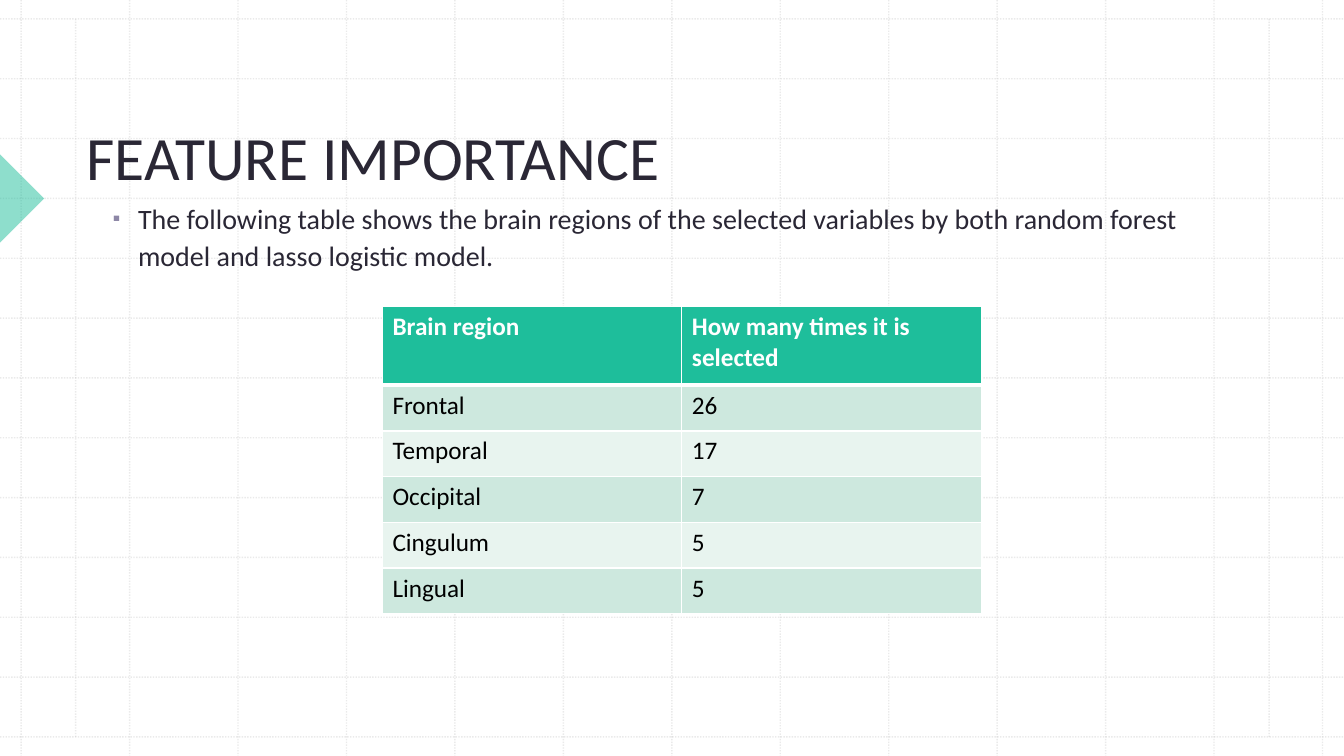
from lxml.etree import SubElement
from pptx import Presentation
from pptx.dml.color import RGBColor
from pptx.enum.dml import MSO_LINE_DASH_STYLE as Dash
from pptx.enum.shapes import MSO_CONNECTOR as Connector, MSO_SHAPE as Shape
from pptx.enum.text import MSO_ANCHOR as Anchor, MSO_AUTO_SIZE as AutoSize, PP_ALIGN as Align
from pptx.oxml.ns import qn
from pptx.util import Pt

WHITE = RGBColor(0xFF, 0xFF, 0xFF)
BLACK = RGBColor(0, 0, 0)
INK = RGBColor(0x2A, 0x27, 0x35)
GREEN = RGBColor(0x1E, 0xBE, 0x9B)
BAND_DARK = RGBColor(0xCD, 0xE8, 0xDE)
BAND_LIGHT = RGBColor(0xE8, 0xF4, 0xEF)
GRID = RGBColor(0xBC, 0xBC, 0xBC)
BULLET = RGBColor(0x8D, 0x87, 0xA6)

WIDTH, HEIGHT = 960, 540
REGIONS = [
    ("Brain region", "How many times it is selected"),
    ("Frontal", "26"),
    ("Temporal", "17"),
    ("Occipital", "7"),
    ("Cingulum", "5"),
    ("Lingual", "5"),
]


def write(frame, text, size=18, color=INK, bold=False, align=Align.LEFT, font="Calibri"):
    para = frame.paragraphs[0]
    para.alignment = align
    span = para.add_run()
    span.text = text
    span.font.name, span.font.size, span.font.bold = font, Pt(size), bold
    span.font.color.rgb = color
    return para


def add_solid(parent, color, alpha=None):
    solid = SubElement(parent, qn("a:solidFill"))
    srgb = SubElement(solid, qn("a:srgbClr"), val=str(color))
    if alpha is not None:
        SubElement(srgb, qn("a:alpha"), val=str(alpha * 1000))


def set_alpha(fill_parent, alpha):
    srgb = next(fill_parent.iter(qn("a:srgbClr")))
    SubElement(srgb, qn("a:alpha"), val=str(alpha * 1000))


class SlidePainter:
    def __init__(self, deck):
        self.slide = deck.slides.add_slide(deck.slide_layouts[1])
        self.shapes = self.slide.shapes

    def grid_line(self, x1, y1, x2, y2):
        line = self.shapes.add_connector(Connector.STRAIGHT, Pt(x1), Pt(y1), Pt(x2), Pt(y2))
        line.line.color.rgb = GRID
        line.line.width = Pt(1)
        line.line.dash_style = Dash.ROUND_DOT
        properties = line._element.spPr
        set_alpha(properties, 30)
        SubElement(properties, qn("a:effectLst"))

    def triangle(self, left, top, side):
        marker = self.shapes.add_shape(Shape.RIGHT_TRIANGLE, Pt(left), Pt(top), Pt(side), Pt(side))
        marker.rotation = 225
        marker.shadow.inherit = False
        marker.fill.solid()
        marker.fill.fore_color.rgb = GREEN
        set_alpha(marker._element.spPr, 50)
        marker.line.fill.background()

    def placeholder(self, index, left, top, width, height, text, size, anchor):
        box = self.slide.placeholders[index]
        box.left, box.top, box.width, box.height = Pt(left), Pt(top), Pt(width), Pt(height)
        self.shapes._spTree.append(box._element)  # bring in front of the grid
        frame = box.text_frame
        frame.word_wrap = True
        frame.auto_size = AutoSize.NONE
        frame.vertical_anchor = anchor
        return frame, write(frame, text, size=size)

    def title(self, text, *place):
        frame, para = self.placeholder(0, *place, text, 44, Anchor.BOTTOM)
        frame.margin_bottom = 0

    def bullet_list(self, text, *place):
        frame, para = self.placeholder(1, *place, text, 20, Anchor.TOP)
        properties = para._p.get_or_add_pPr()
        properties.set("marL", str(Pt(18)))
        properties.set("indent", str(Pt(-18)))
        color = SubElement(properties, qn("a:buClr"))
        SubElement(color, qn("a:srgbClr"), val=str(BULLET))
        SubElement(properties, qn("a:buSzPct"), val="75000")
        SubElement(properties, qn("a:buFont"), typeface="Calibri")
        SubElement(properties, qn("a:buChar"), char="▪")
        para.line_spacing = 1.1
        para.space_before = Pt(0)

    def table(self, rows, left, top, width, header_height, row_height):
        height = header_height + row_height * (len(rows) - 1)
        columns = len(rows[0])
        table = self.shapes.add_table(
            len(rows), columns, Pt(left), Pt(top), Pt(width), Pt(height)).table
        for column in table.columns:
            column.width = Pt(width / columns)
        for r, values in enumerate(rows):
            header = r == 0
            table.rows[r].height = Pt(header_height if header else row_height)
            for c, value in enumerate(values):
                cell = table.cell(r, c)
                self.borders(cell, top=3 if r == 1 else 1, bottom=3 if header else 1)
                cell.fill.solid()
                cell.fill.fore_color.rgb = GREEN if header else (BAND_LIGHT, BAND_DARK)[r % 2]
                write(cell.text_frame, value, color=WHITE if header else BLACK, bold=header)

    def borders(self, cell, top, bottom):
        properties = cell._tc.get_or_add_tcPr()
        for side, weight in (("L", 1), ("R", 1), ("T", top), ("B", bottom)):
            edge = SubElement(properties, qn(f"a:ln{side}"), w=str(Pt(weight)))
            add_solid(edge, WHITE)


def main():
    deck = Presentation()
    deck.slide_width, deck.slide_height = Pt(WIDTH), Pt(HEIGHT)
    painter = SlidePainter(deck)

    # Background grid
    for i in range(13):
        x, y = 15.12 + 77.46 * i, 13.5 + 42.74 * i
        painter.grid_line(x, 0, x, HEIGHT)
        painter.grid_line(0, y, WIDTH, y)
    for x in (54, 906.5):
        painter.grid_line(x, 13.5, x, 526.4)

    # Marker at the left edge
    painter.triangle(-22.3, 119.5, 44.6)

    # Title and text
    painter.title("FEATURE IMPORTANCE", 54.7, 56.9, 812.9, 80.6)
    painter.bullet_list(
        "The following table shows the brain regions of the selected variables "
        "by both random forest model and lasso logistic model.",
        73.4, 138.2, 812.9, 326.9)

    # Brain regions
    painter.table(REGIONS, 273.2, 219, 427.8, 56.2, 32.65)

    deck.save("out.pptx")


if __name__ == "__main__":
    main()
